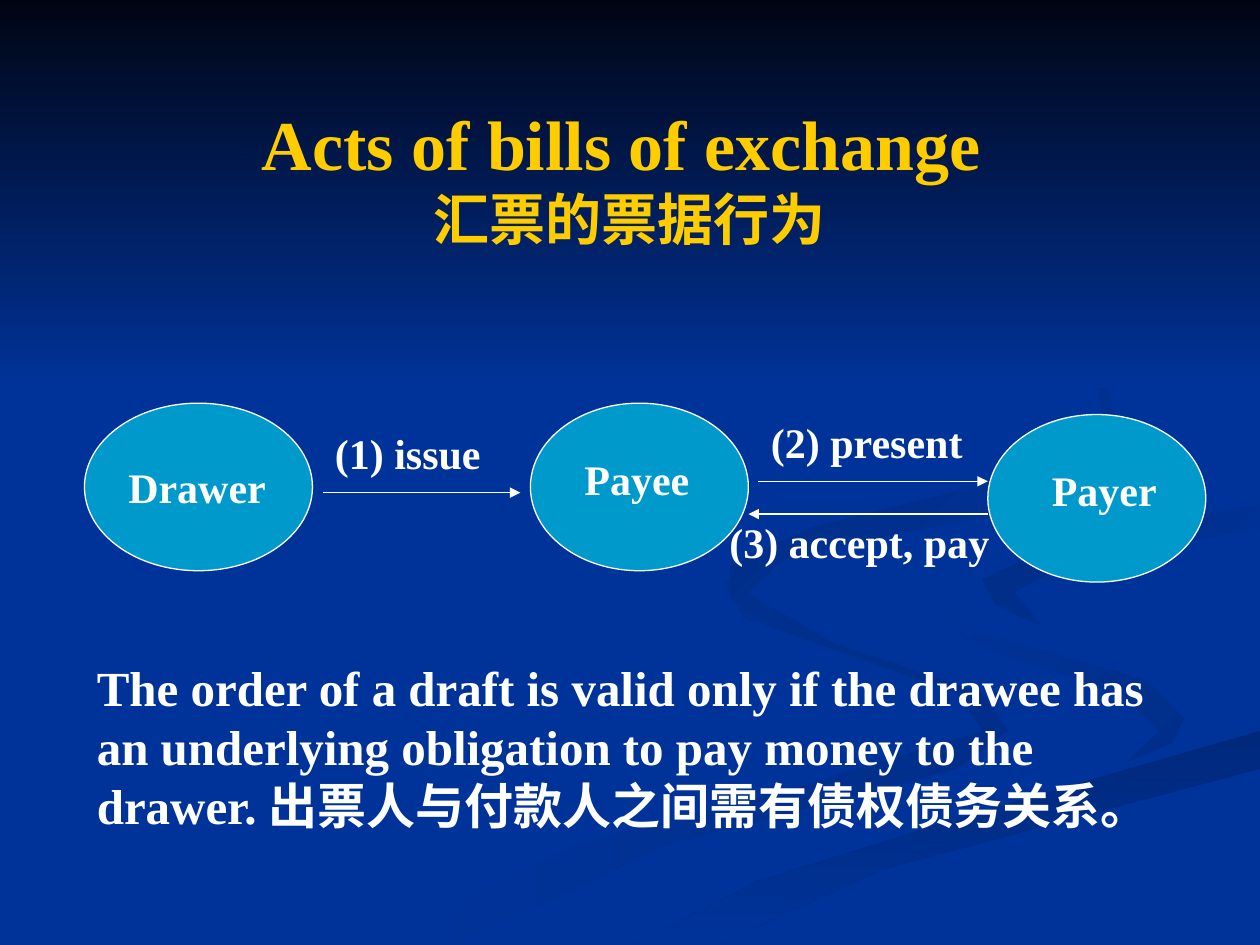
from dataclasses import dataclass

from lxml import etree
from pptx import Presentation
from pptx.dml.color import RGBColor
from pptx.enum.shapes import MSO_CONNECTOR, MSO_SHAPE
from pptx.enum.text import MSO_ANCHOR, MSO_AUTO_SIZE, PP_ALIGN
from pptx.oxml.ns import qn
from pptx.util import Inches, Pt

# The slide is a grid of 100 columns by 75 rows
COLUMNS, ROWS = 100, 75
CELL = Inches(0.1)
FONT = "Times New Roman"
NAVY, WHITE, GOLD, TEAL = "003399", "FFFFFF", "FFCC00", "0099CC"


@dataclass
class Backdrop:
    points: list[tuple[float, float]]
    colours: tuple[str, str]
    angle: int  # counter-clockwise


@dataclass
class Party:
    left: float
    top: float
    width: float
    height: float = 13.3


@dataclass
class Arrow:
    start: float
    end: float
    row: float


@dataclass
class Label:
    text: str
    left: float
    top: float
    width: float
    height: float = 5
    size: int = 24


BACKDROPS = [
    # Lower left ribbon
    Backdrop([(78, 55), (66, 51), (57.5, 46), (59, 49), (76, 55), (78, 58),
              (65, 62), (46, 67), (30, 75), (36, 75), (53, 67), (76, 61), (80, 58)],
             ("002E8A", NAVY), 180),
    # Right hook
    Backdrop([(94, 57), (91, 54), (77, 50), (72.4, 46.4), (77, 51), (89, 55),
              (92, 58), (89.4, 60.5), (93, 59)], ("002E8A", NAVY), 135),
    # Bottom right sweep
    Backdrop([(50.3, 75), (57, 75), (70, 69), (100, 61), (100, 58), (76, 65), (60, 70)],
             ("00297C", NAVY), 270),
    # Upper right ribbon
    Backdrop([(78, 46), (79, 48), (82.6, 49.6), (80.5, 47), (85, 44.5), (100, 42),
              (100, 40), (85, 42.7)], (NAVY, "002C85"), 135),
    # Upper loop
    Backdrop([(68, 43), (83, 40), (89, 36), (88, 31), (76, 23.3), (87, 30),
              (88, 36), (64, 42), (58, 45), (58, 47.5), (62, 50), (59.4, 47),
              (62, 44.5)], (NAVY, "002B81"), 135),
    # Dark fade across the top
    Backdrop([(0, 0), (0, 30.8), (COLUMNS, 30.8), (COLUMNS, 0)], ("000514", NAVY), 270),
]

PARTIES = [Party(6.7, 32, 18.1), Party(42.1, 32, 17.3), Party(78.4, 32.9, 17.3)]

ARROWS = [Arrow(25.6, 41.3, 39.1), Arrow(78.4, 59.4, 40.8), Arrow(60.2, 78.4, 38.2)]

LABELS = [
    Label("Drawer", 9.2, 36.1, 14),
    Label("Payee", 45.4, 35.5, 12.4),
    Label("Payer", 82.5, 36.4, 12.4),
    Label("(1) issue", 25.6, 33.4, 15.7),
    Label("(2) present", 60.2, 32.6, 18.1),
    Label("(3) accept, pay", 56.9, 40.5, 24.7),
    Label("The order of a draft is valid only if the drawee has an underlying "
          "obligation to pay money to the drawer. 出票人与付款人之间需有债权债务关系。",
          6.7, 51.7, 89.8, 15, 28),
]


def cells(*lengths: float) -> list[int]:
    return [round(length * CELL) for length in lengths]


def colour(value: str) -> RGBColor:
    return RGBColor.from_string(value)


def set_font(font, size: int, value: str) -> None:
    font.name, font.size, font.bold = FONT, Pt(size), True
    font.color.rgb = colour(value)


def add_backdrop(shapes, backdrop: Backdrop) -> None:
    first, *rest = [cells(*point) for point in backdrop.points]
    builder = shapes.build_freeform(*first, scale=1.0)
    builder.add_line_segments(rest, close=True)
    shape = builder.convert_to_shape()
    shape.shadow.inherit = False
    shape.line.fill.background()
    shape.fill.gradient()
    shape.fill.gradient_angle = backdrop.angle
    for stop, value, position in zip(shape.fill.gradient_stops, backdrop.colours, (0, 1)):
        stop.color.rgb = colour(value)
        stop.position = position


def add_party(shapes, party: Party) -> None:
    shape = shapes.add_shape(
        MSO_SHAPE.OVAL, *cells(party.left, party.top, party.width, party.height))
    shape.shadow.inherit = False
    shape.fill.solid()
    shape.fill.fore_color.rgb = colour(TEAL)
    shape.line.color.rgb = colour(WHITE)
    shape.line.width = Pt(0.75)


def add_arrow(shapes, arrow: Arrow) -> None:
    connector = shapes.add_connector(
        MSO_CONNECTOR.STRAIGHT, *cells(arrow.start, arrow.row, arrow.end, arrow.row))
    connector.line.color.rgb = colour(WHITE)
    connector.line.width = Pt(0.75)
    etree.SubElement(connector.line._get_or_add_ln(), qn("a:tailEnd"), type="triangle")
    etree.SubElement(connector._element.spPr, qn("a:effectLst"))


def add_label(shapes, label: Label) -> None:
    box = shapes.add_textbox(*cells(label.left, label.top, label.width, label.height))
    frame = box.text_frame
    frame.word_wrap = True
    frame.auto_size = MSO_AUTO_SIZE.SHAPE_TO_FIT_TEXT
    frame.text = label.text
    set_font(frame.paragraphs[0].font, label.size, WHITE)


def format_title(shapes) -> None:
    title = shapes.title
    title.left, title.top, title.width, title.height = cells(5, 7.7, 90, 12.5)
    shapes._spTree.append(title._element)  # in front of the backdrop
    frame = title.text_frame
    frame.auto_size = MSO_AUTO_SIZE.NONE
    frame.vertical_anchor = MSO_ANCHOR.MIDDLE
    paragraph = frame.paragraphs[0]
    paragraph.alignment = PP_ALIGN.CENTER
    set_font(paragraph.font, 40, GOLD)
    paragraph.add_run().text = "Acts of bills of exchange "
    paragraph.add_line_break()
    chinese = paragraph.add_run()
    chinese.text = "汇票的票据行为"
    chinese.font.size = Pt(32)


def main() -> None:
    presentation = Presentation()
    presentation.slide_width, presentation.slide_height = cells(COLUMNS, ROWS)
    slide = presentation.slides.add_slide(presentation.slide_layouts[5])
    slide.background.fill.solid()
    slide.background.fill.fore_color.rgb = colour(NAVY)
    shapes = slide.shapes

    # Backdrop and title
    for backdrop in BACKDROPS:
        add_backdrop(shapes, backdrop)
    format_title(shapes)

    # Flow between the parties, and the note below
    for party in PARTIES:
        add_party(shapes, party)
    for arrow in ARROWS:
        add_arrow(shapes, arrow)
    for label in LABELS:
        add_label(shapes, label)

    presentation.save("out.pptx")


if __name__ == "__main__":
    main()
